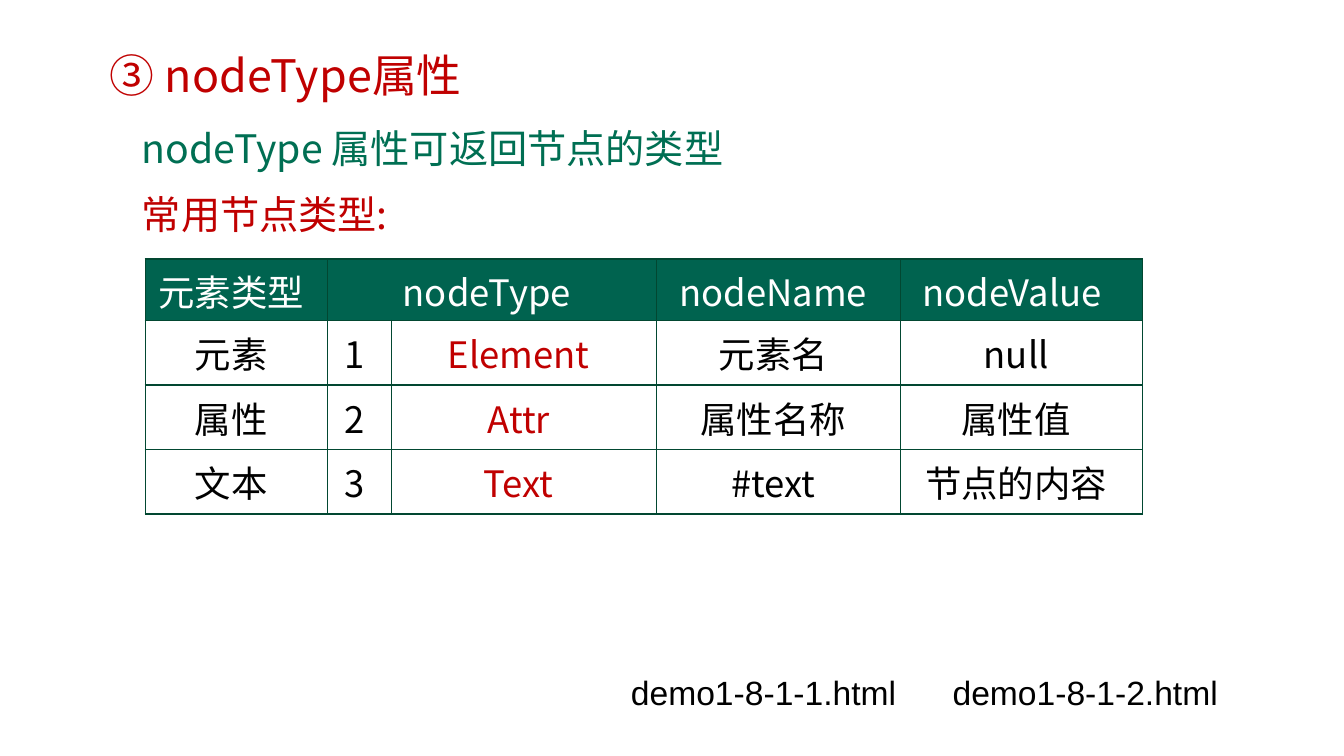
from lxml import etree
from pptx import Presentation
from pptx.dml.color import RGBColor
from pptx.enum.text import MSO_ANCHOR as Anchor, MSO_AUTO_SIZE as AutoSize, PP_ALIGN as Align
from pptx.oxml.ns import qn
from pptx.util import Inches, Pt

CJK, LATIN = "Noto Sans CJK SC", "Arial"
RED, GREEN, HEADER, BORDER = "C00000", "006F53", "00634F", "024731"
WHITE, BLACK = "FFFFFF", "000000"


def color(hex_value):
    return RGBColor.from_string(hex_value)


def cells(count):
    """Length of a number of grid columns or rows, ten to the inch."""
    return Inches(count / 10)


class Page:
    """Holds the text style and the current slide."""

    def __init__(self, slide, font):
        self.slide, self.font = slide, font

    def style(self, frame, size, hex_value, font=None, align=Align.LEFT):
        name = font or self.font
        paragraph = frame.paragraphs[0]
        paragraph.alignment = align
        for run in paragraph.runs:
            run.font.size, run.font.name = Pt(size), name
            run.font.color.rgb = color(hex_value)
            east_asian = etree.SubElement(run._r.get_or_add_rPr(), qn("a:ea"))
            east_asian.set("typeface", name)

    def title(self, text, left, top, width, height):
        heading = self.slide.shapes.title
        heading.left, heading.top = cells(left), cells(top)
        heading.width, heading.height = cells(width), cells(height)
        frame = heading.text_frame
        frame.text = text
        frame.auto_size = AutoSize.SHAPE_TO_FIT_TEXT
        frame.vertical_anchor = Anchor.TOP
        frame.paragraphs[0].line_spacing = 2.0
        self.style(frame, 32, RED)

    def text(self, text, left, top, width, height, size, hex_value, font=None, wrap=True):
        box = self.slide.shapes.add_textbox(
            cells(left), cells(top), cells(width), cells(height))
        frame = box.text_frame
        frame.text = text
        frame.word_wrap = wrap
        frame.auto_size = AutoSize.SHAPE_TO_FIT_TEXT
        self.style(frame, size, hex_value, font)

    def border(self, cell):
        properties = cell._tc.get_or_add_tcPr()
        for position, side in enumerate(("lnL", "lnR", "lnT", "lnB")):
            line = etree.Element(qn(f"a:{side}"), w=str(Pt(1)))
            fill = etree.SubElement(line, qn("a:solidFill"))
            etree.SubElement(fill, qn("a:srgbClr"), val=BORDER)
            properties.insert(position, line)

    def table(self, rows, left, top, widths, heights, red_column):
        grid = self.slide.shapes.add_table(
            len(rows), len(widths), cells(left), cells(top),
            cells(sum(widths)), cells(sum(heights))).table
        grid.first_row = grid.horz_banding = False
        for column, width in zip(grid.columns, widths):
            column.width = cells(width)
        for row, height in zip(grid.rows, heights):
            row.height = cells(height)
        for r, row in enumerate(rows):
            for c, value in enumerate(row):
                cell = grid.cell(r, c)
                cell.text = value
                cell.vertical_anchor = Anchor.MIDDLE
                cell.margin_left, cell.margin_right = cells(0.6), cells(1.6)
                cell.margin_top = cell.margin_bottom = cells(0.6 if r else 0.5)
                if r == 0:
                    cell.fill.solid()
                    cell.fill.fore_color.rgb = color(HEADER)
                    ink = WHITE
                else:
                    cell.fill.background()
                    ink = RED if c == red_column else BLACK
                self.border(cell)
                self.style(cell.text_frame, 26, ink, align=Align.CENTER)
        return grid


deck = Presentation()
deck.slide_width, deck.slide_height = Inches(13.33), Inches(7.5)
page = Page(deck.slides.add_slide(deck.slide_layouts[5]), CJK)

# Heading and introduction
page.title("③ nodeType属性", 9.9, -1.1, 51.6, 10.2)
page.text("nodeType 属性可返回节点的类型", 13.1, 11.8, 85.5, 5.7, 28, GREEN)
page.text("常用节点类型:", 13.1, 18.4, 85.1, 5.7, 28, RED)

# Node types: the nodeType heading covers the number and the name
node_types = page.table(
    [("元素类型", "nodeType", "", "nodeName", "nodeValue "),
     ("元素", "1", "Element", "元素名", "null"),
     ("属性", "2", "Attr", "属性名称", "属性值"),
     ("文本", "3", "Text", "#text", "节点的内容")],
    14.4, 25.7, (18.1, 6.3, 26.3, 24.2, 24), (6.1, 6.4, 6.4, 6.4), red_column=2)
node_types.cell(0, 1).merge(node_types.cell(0, 2))

# Demo files
for number, left in ((1, 61.6), (2, 93.5)):
    page.text(f"demo1-8-1-{number}.html", left, 66.2, 28.6, 5, 24, BLACK, LATIN, wrap=False)

deck.save("out.pptx")
